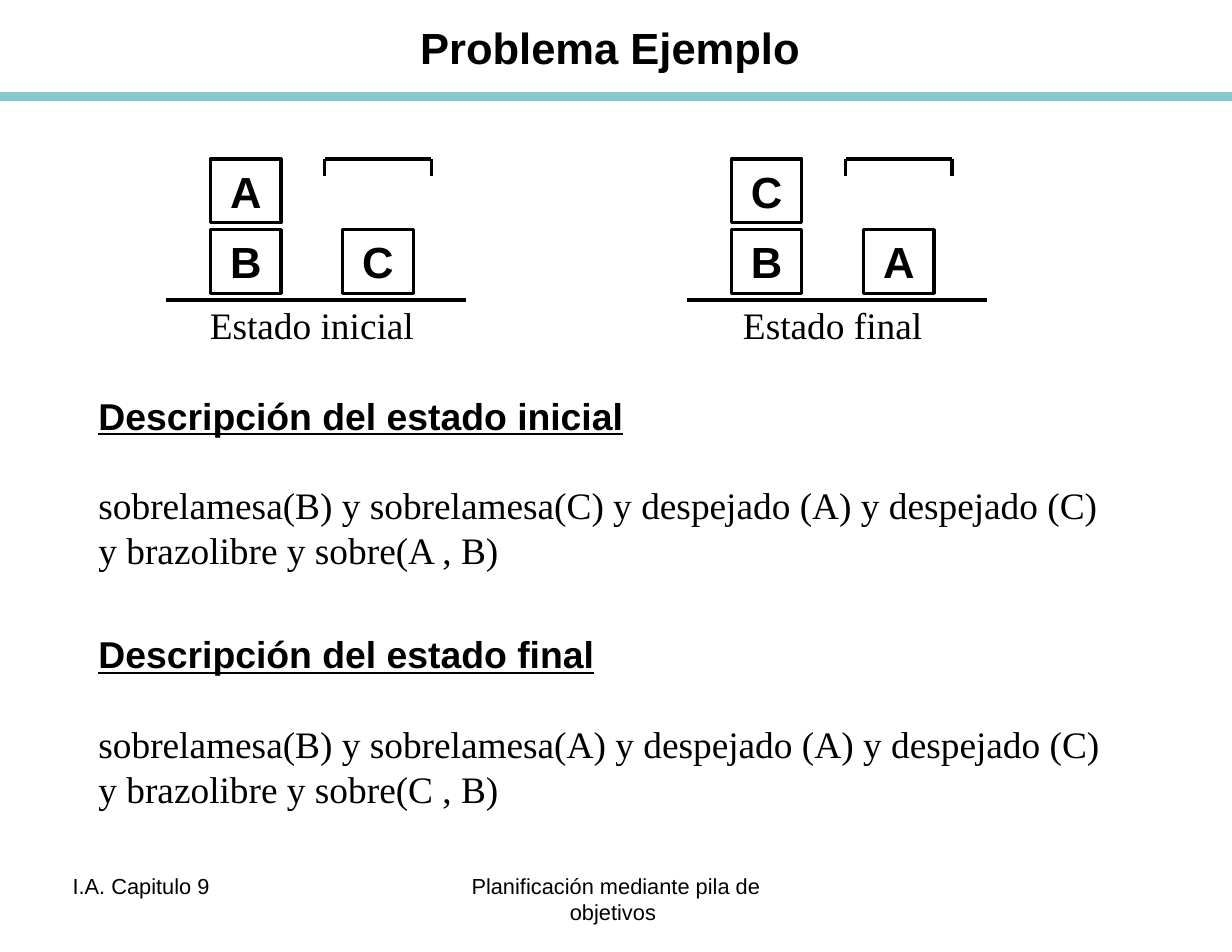
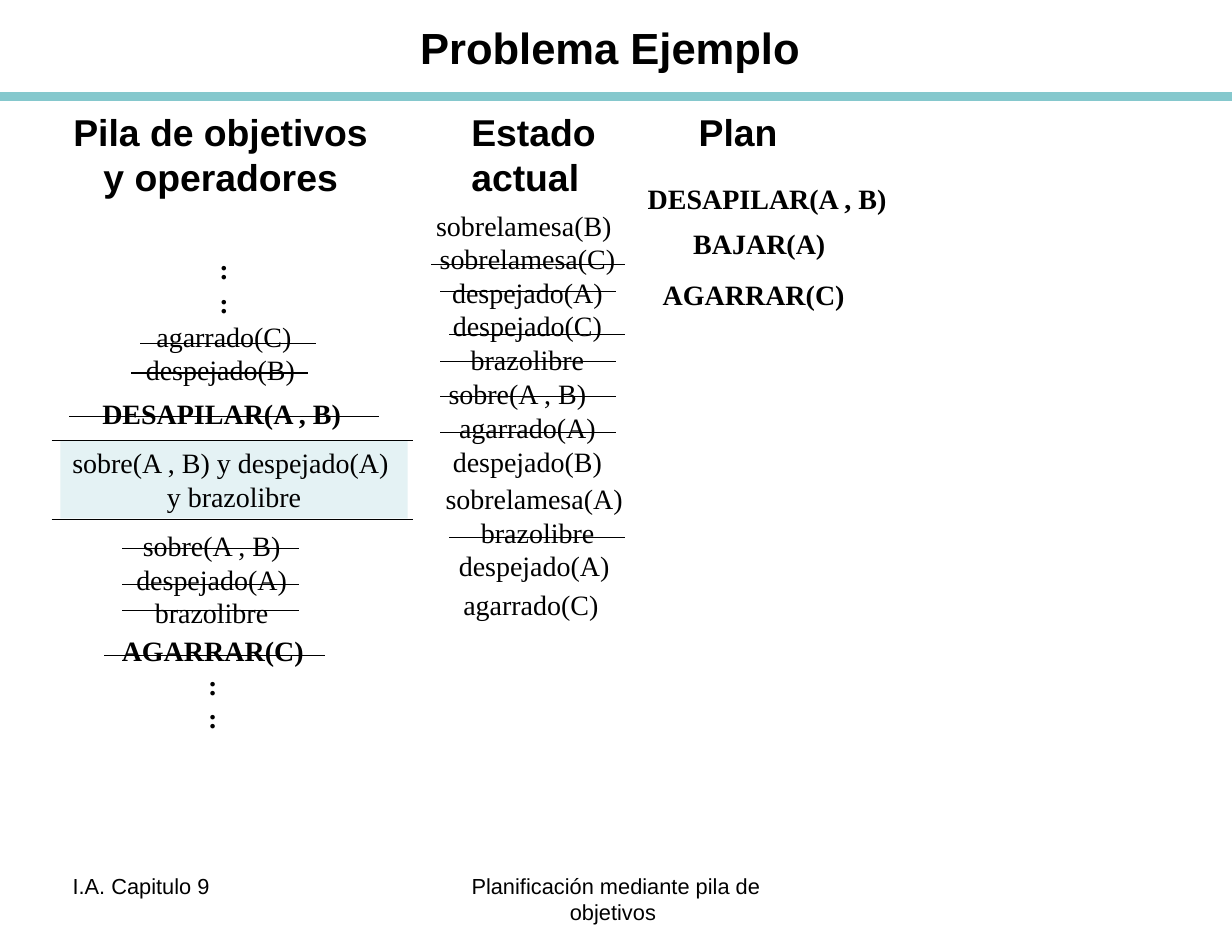
import pptx
import pptx.util
import pptx.dml.color
import pptx.enum.shapes
import pptx.enum.text
import pptx.oxml.ns
import lxml.etree

Inches, Pt = pptx.util.Inches, pptx.util.Pt
RGB = pptx.dml.color.RGBColor
ALIGN = pptx.enum.text.PP_ALIGN
ANCHOR = pptx.enum.text.MSO_ANCHOR

BLACK = RGB(0x00, 0x00, 0x00)
TEAL = RGB(0x85, 0xC8, 0xCD)
PALE = RGB(0xE4, 0xF2, 0xF4)
SANS, SERIF = "Arial", "Times New Roman"

WIDTH, HEIGHT = 11, 8.5
ROW = 0.3        # height of one text row in the lists
LIST = 2.6       # width of a list, wide enough for its longest row
STEP = 4.65      # distance between the two block scenes
BLOCK = (0.63, 0.57)


def write(frame, rows, size, face, bold=False, align=ALIGN.CENTER):
    """Fill a text frame, one paragraph for each row."""
    for i, row in enumerate(rows):
        para = frame.paragraphs[0] if i == 0 else frame.add_paragraph()
        para.text = row
        para.alignment = align
        para.line_spacing = Pt(round(size * 1.2, 1))
        font = para.font
        font.size, font.name, font.bold = Pt(size), face, bold
        font.color.rgb = BLACK


def label(slide, box, rows, size, face=SANS, bold=False,
          align=ALIGN.CENTER):
    shape = slide.shapes.add_textbox(*map(Inches, box))
    frame = shape.text_frame
    frame.word_wrap = True
    write(frame, rows, size, face, bold, align)
    return frame


def stack(slide, mid, top, rows, bold=False):
    """A list of centred rows around the axis mid."""
    box = (mid - LIST / 2, top, LIST, len(rows) * ROW + 0.1)
    label(slide, box, rows, 18, SERIF, bold)


def line(slide, start, end, width, color=BLACK):
    link = slide.shapes.add_connector(
        pptx.enum.shapes.MSO_CONNECTOR.STRAIGHT,
        *map(Inches, (*start, *end)))
    link.line.color.rgb = color
    link.line.width = Pt(width)
    props = link._element.spPr
    lxml.etree.SubElement(props, pptx.oxml.ns.qn("a:effectLst"))


def strike(slide, left, right, *tops):
    for top in tops:
        line(slide, (left, top), (right, top), 0.75)


def rect(slide, box):
    shape = slide.shapes.add_shape(
        pptx.enum.shapes.MSO_SHAPE.RECTANGLE, *map(Inches, box))
    shape.shadow.inherit = False
    shape.fill.background()
    shape.line.fill.background()
    return shape


def block(slide, left, top, name):
    shape = rect(slide, (left, top, *BLOCK))
    shape.line.color.rgb = BLACK
    shape.line.width = Pt(2)
    shape.text_frame.vertical_anchor = ANCHOR.TOP
    write(shape.text_frame, [name], 28, SANS, True)


def scene(slide, left, names, title):
    """Two stacked blocks, a single block, the table and the arm."""
    high, low = 1.42, 2.05
    spots = ((0.4, high), (0.4, low), (1.58, low))
    for name, (shift, top) in zip(names, spots):
        block(slide, left + shift, top, name)
    line(slide, (left, 2.68), (left + 2.68, 2.68), 3)
    label(slide, (left + 0.24, 2.65, 2.13, 0.5), [title], 24, SERIF)
    # Arm
    near, far = left + 1.42, left + 2.37
    line(slide, (near, high), (far, high), 2)
    for side in (near, far):
        line(slide, (side, 1.57), (side, high), 2)


def state(slide, top, title, facts):
    """An underlined heading and the facts of a state."""
    frame = label(slide, (0.78, top, 9.99, 2.1), [title, *facts], 24, SERIF,
                  align=ALIGN.LEFT)
    head, first = frame.paragraphs[:2]
    head.font.name = SANS
    head.font.bold = head.font.underline = True
    first.space_before = Pt(28.8)


def page(deck):
    """A slide with the shared title, band and footers."""
    slide = deck.slides.add_slide(deck.slide_layouts[6])
    line(slide, (0, 0.86), (WIDTH, 0.86), 6, TEAL)
    frame = label(slide, (0, 0.07, WIDTH, 0.71), ["Problema Ejemplo "], 28,
                  bold=True)
    frame.vertical_anchor = ANCHOR.MIDDLE
    label(slide, (3.76, 7.74, 3.48, 0.59),
          ["Planificación mediante pila de objetivos "], 14)
    label(slide, (0.55, 7.74, 2.57, 0.59), ["I.A. Capitulo 9"], 14,
          align=ALIGN.LEFT)
    return slide


def states(deck):
    slide = page(deck)
    scene(slide, 1.48, "ABC", "Estado inicial")
    scene(slide, 1.48 + STEP, "CBA", "Estado final")
    state(slide, 3.46, "Descripción del estado inicial", [
        "sobrelamesa(B) y sobrelamesa(C) y despejado (A) y despejado (C)",
        "y brazolibre y sobre(A , B)"])
    state(slide, 5.59, "Descripción del estado final", [
        "sobrelamesa(B) y sobrelamesa(A) y despejado (A) y despejado (C)",
        "y brazolibre y sobre(C , B)"])


def goals(slide):
    """Left column: the goal stack."""
    stack(slide, 2, 2.2, [":", ":"], True)
    stack(slide, 2, 2.8, ["agarrado(C)", "despejado(B) "])
    stack(slide, 1.98, 3.49, ["DESAPILAR(A , B)"], True)
    # Compound goal
    band = rect(slide, (0.54, 3.93, 3.1, 0.7))
    band.fill.solid()
    band.fill.fore_color.rgb = PALE
    band.text_frame.word_wrap = False
    band.text_frame.vertical_anchor = ANCHOR.TOP
    write(band.text_frame, ["sobre(A , B) y despejado(A) ", "y brazolibre"],
          18, SERIF)
    strike(slide, 0.46, 3.69, 3.93, 4.64)
    # Simple goals
    stack(slide, 1.89, 4.67, ["sobre(A , B)", "despejado(A)", "brazolibre"])
    stack(slide, 1.9, 5.61, ["AGARRAR(C)", ":", ":"], True)
    # Goals already met
    strike(slide, 1.25, 2.82, 3.07)
    strike(slide, 1.17, 2.75, 3.33)
    strike(slide, 0.62, 3.38, 3.72)
    strike(slide, 1.09, 2.67, 4.9, 5.22, 5.45)
    strike(slide, 0.93, 2.9, 5.85)


def facts(slide):
    """Middle column: the current state."""
    mid = 4.71
    stack(slide, mid, 1.81, ["sobrelamesa(B) ", "sobrelamesa(C)",
                             "despejado(A)", "despejado(C)", "brazolibre"])
    stack(slide, mid - 0.09, 1.81 + 5 * ROW, ["sobre(A , B)"])
    stack(slide, mid, 3.62, ["agarrado(A)", "despejado(B)"])
    stack(slide, 4.77, 4.25, ["sobrelamesa(A)", " brazolibre",
                              "despejado(A)"])
    stack(slide, 4.74, 5.2, ["agarrado(C)"])
    # Facts no longer true
    strike(slide, 3.85, 5.58, 2.36)
    strike(slide, 3.93, 5.5, 2.6, 3.23, 3.54, 3.86)
    strike(slide, 4.01, 5.58, 2.99, 4.8)


def steps(slide):
    """Right column: the plan."""
    for mid, top, name in ((6.85, 1.57, "DESAPILAR(A , B)"),
                           (6.78, 1.97, "BAJAR(A)"),
                           (6.73, 2.43, "AGARRAR(C)")):
        stack(slide, mid, top, [name], True)


def trace(deck):
    slide = page(deck)
    heads = ((0.47, 3, ["Pila de objetivos", "y operadores"], ALIGN.CENTER),
             (4.11, 1.6, ["Estado", "actual"], ALIGN.LEFT),
             (6.14, 1.2, ["Plan"], ALIGN.LEFT))
    for left, width, rows, align in heads:
        label(slide, (left, 0.93, width, 0.9), rows, 24, bold=True,
              align=align)
    goals(slide)
    facts(slide)
    steps(slide)


def main():
    deck = pptx.Presentation()
    deck.slide_width, deck.slide_height = Inches(WIDTH), Inches(HEIGHT)
    states(deck)
    trace(deck)
    deck.save("out.pptx")


if __name__ == "__main__":
    main()
